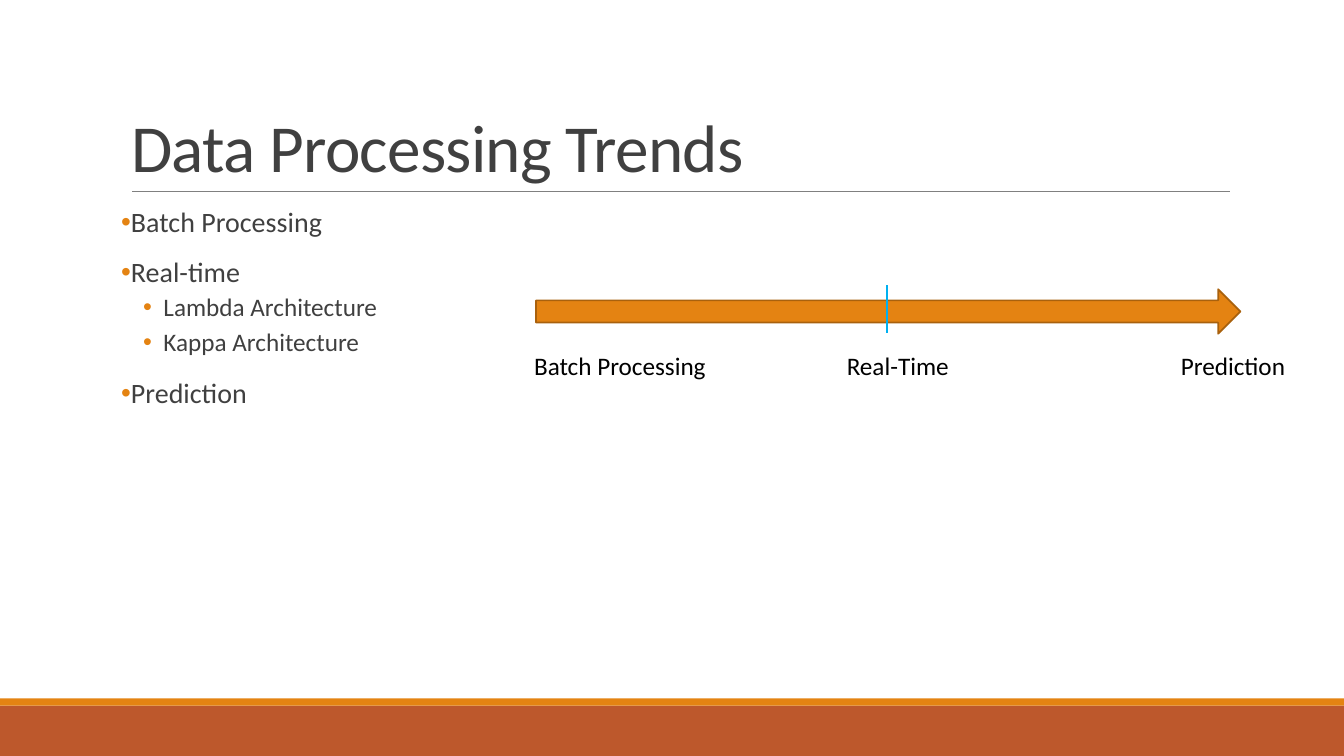
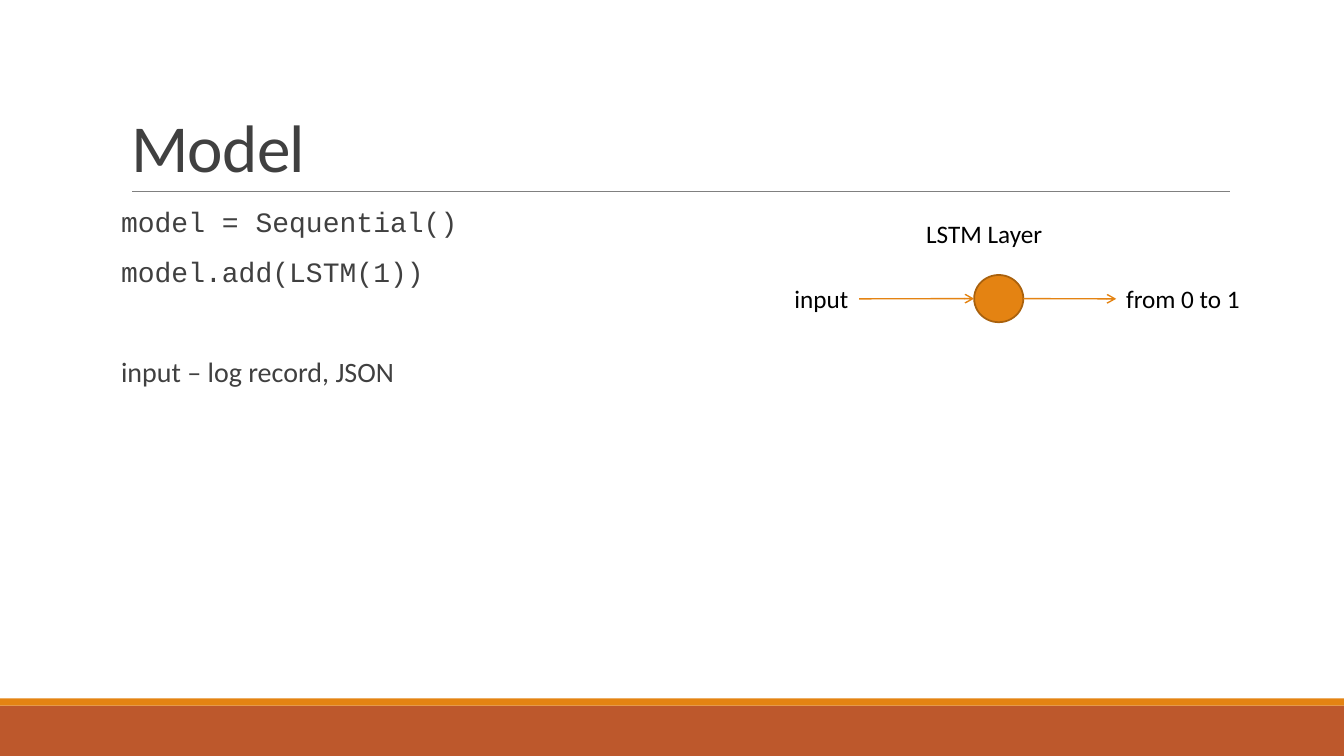
from lxml.etree import SubElement
from pptx import Presentation
from pptx.dml.color import RGBColor
from pptx.enum.shapes import MSO_CONNECTOR, MSO_SHAPE
from pptx.enum.text import MSO_ANCHOR, MSO_AUTO_SIZE, PP_ALIGN
from pptx.oxml.ns import qn
from pptx.util import Cm, Pt

# Shared look
ORANGE, RUST, BROWN = "E48312", "BD582C", "A9610D"
GREY, DARK, BLACK, BLUE = "808080", "404040", "000000", "00B0F0"
SANS, MONO, BULLET_FACE = "Calibri", "Courier New", "Arial"
SLIDE_W, SLIDE_H = 33.87, 19.05
TITLE_BOX = (3.05, 0.79, 27.94, 4.04)
BODY_BOX = (3.05, 5.13, 27.94, 11.18)
LABEL_H = 1.02

# Per list level: size, space before, space after, left margin, hanging indent
LEVELS = [(20, 12, 2, 0.25, 0.25), (18, 2, 4, 1.07, 0.51)]


def rgb(hex_color):
    return RGBColor.from_string(hex_color)


def place(shape, box):
    shape.left, shape.top, shape.width, shape.height = map(Cm, box)


def style_font(paragraph, size, color, face=SANS):
    for run in paragraph.runs:
        run.font.name, run.font.size = face, Pt(size)
        run.font.color.rgb = rgb(color)


def add_figure(slide, kind, box, fill, outline=None):
    figure = slide.shapes.add_shape(kind, *map(Cm, box))
    figure.shadow.inherit = False
    figure.fill.solid()
    figure.fill.fore_color.rgb = rgb(fill)
    if outline:
        figure.line.color.rgb = rgb(outline)
        figure.line.width = Pt(1.25)
    else:
        figure.line.fill.background()
    return figure


def add_line(slide, start, end, color, width=1, arrow=False):
    line = slide.shapes.add_connector(MSO_CONNECTOR.STRAIGHT, *map(Cm, start + end))
    line.line.color.rgb = rgb(color)
    line.line.width = Pt(width)
    if arrow:
        SubElement(line.line._get_or_add_ln(), qn("a:tailEnd"), type="arrow")
    SubElement(line.element.spPr, qn("a:effectLst"))
    return line


def add_label(slide, text, left, top, width, wrap=True):
    label = slide.shapes.add_textbox(*map(Cm, (left, top, width, LABEL_H)))
    frame = label.text_frame
    frame.text = text
    frame.word_wrap = wrap
    frame.auto_size = MSO_AUTO_SIZE.SHAPE_TO_FIT_TEXT
    style_font(frame.paragraphs[0], 18, BLACK)
    return label


def dress_layout(layout, slide):
    """Draw the bands and title rule once and move them to the layout."""
    for placeholder, box in zip(layout.placeholders, (TITLE_BOX, BODY_BOX)):
        place(placeholder, box)
    title_bottom = TITLE_BOX[1] + TITLE_BOX[3]
    decor = [
        add_figure(slide, MSO_SHAPE.RECTANGLE, (0, 17.78, SLIDE_W, 1.27), RUST),
        add_figure(slide, MSO_SHAPE.RECTANGLE, (0, 17.6, SLIDE_W, 0.18), ORANGE),
        add_line(slide, (3.33, title_bottom), (31, title_bottom), GREY, 0.5),
    ]
    for number, item in enumerate(decor):
        item.element.xpath(".//p:cNvPr")[0].set("id", str(20 + number))
        layout.shapes.element.insert(2 + number, item.element)


def set_title(slide, text):
    title = slide.shapes.title
    place(title, TITLE_BOX)
    frame = title.text_frame
    frame.text = text
    frame.vertical_anchor = MSO_ANCHOR.BOTTOM
    frame.auto_size = MSO_AUTO_SIZE.NONE
    heading = frame.paragraphs[0]
    heading.alignment = PP_ALIGN.LEFT
    heading.line_spacing = 0.85
    style_font(heading, 48, DARK)
    heading.runs[0].font._element.set("spc", "-50")


def set_bullet(paragraph, margin, hanging):
    props = paragraph._p.get_or_add_pPr()
    props.set("marL", str(Cm(margin)))
    props.set("indent", str(-Cm(hanging)))
    if hanging:
        SubElement(SubElement(props, qn("a:buClr")), qn("a:srgbClr"), val=ORANGE)
        SubElement(props, qn("a:buFont"), typeface=BULLET_FACE)
        SubElement(props, qn("a:buChar"), char="•")
    else:
        SubElement(props, qn("a:buNone"))


def set_body(slide, lines, bulleted=True):
    """Fill the body with (text, level, typeface) lines."""
    body = slide.placeholders[1]
    place(body, BODY_BOX)
    frame = body.text_frame
    frame.margin_left = frame.margin_right = 0
    frame.auto_size = MSO_AUTO_SIZE.NONE
    frame.text = "\n".join(text for text, _, _ in lines)
    for paragraph, (_, level, face) in zip(frame.paragraphs, lines):
        size, before, after, margin, hanging = LEVELS[level]
        paragraph.level = level
        paragraph.line_spacing = 0.9
        paragraph.space_before, paragraph.space_after = Pt(before), Pt(after)
        style_font(paragraph, size, DARK, face)
        set_bullet(paragraph, *((margin, hanging) if bulleted else (0, 0)))
    return frame


def build_trends(slide):
    set_title(slide, "Data Processing Trends")
    set_body(slide, [
        ("Batch Processing", 0, SANS),
        ("Real-time", 0, SANS),
        ("Lambda Architecture", 1, SANS),
        ("Kappa Architecture", 1, SANS),
        ("Prediction", 0, SANS),
    ])

    # Timeline
    add_figure(slide, MSO_SHAPE.RIGHT_ARROW, (13.51, 7.29, 17.75, 1.12), ORANGE, BROWN)
    for stage, left, width in [("Batch Processing", 13.21, 5.82),
                               ("Real-Time", 21.09, 3.91),
                               ("Prediction", 29.51, 3.91)]:
        add_label(slide, stage, left, 8.71, width)
    add_line(slide, (22.35, 7.19), (22.35, 8.4), BLUE)


def build_model(slide):
    set_title(slide, "Model")
    code = set_body(slide, [
        ("model = Sequential()", 0, MONO),
        ("model.add(LSTM(1))", 0, MONO),
        ("input – log record, JSON", 0, SANS),
    ], bulleted=False)
    code.paragraphs[-1].space_before = Pt(48)

    # Network with a single neuron
    left, top, width, height = neuron = (24.55, 6.93, 1.24, 1.19)
    middle = top + height / 2
    add_figure(slide, MSO_SHAPE.OVAL, neuron, ORANGE, BROWN)
    add_label(slide, "LSTM Layer", 23.09, 5.38, 3.48, wrap=False)
    source = add_label(slide, "input", 19.77, 7.02, 1.88, wrap=False)
    result = add_label(slide, "from 0 to 1", 28.13, 7.02, 3.4, wrap=False)
    inflow = add_line(slide, (21.65, middle), (left, middle), ORANGE, arrow=True)
    inflow.begin_connect(source, 3)
    outflow = add_line(slide, (left + width, middle), (28.13, middle), ORANGE, arrow=True)
    outflow.end_connect(result, 1)


def main():
    deck = Presentation()
    deck.slide_width, deck.slide_height = Cm(SLIDE_W), Cm(SLIDE_H)
    layout = deck.slide_layouts[1]
    trends, model = (deck.slides.add_slide(layout) for _ in range(2))
    dress_layout(layout, trends)
    build_trends(trends)
    build_model(model)
    deck.save("out.pptx")


if __name__ == "__main__":
    main()
